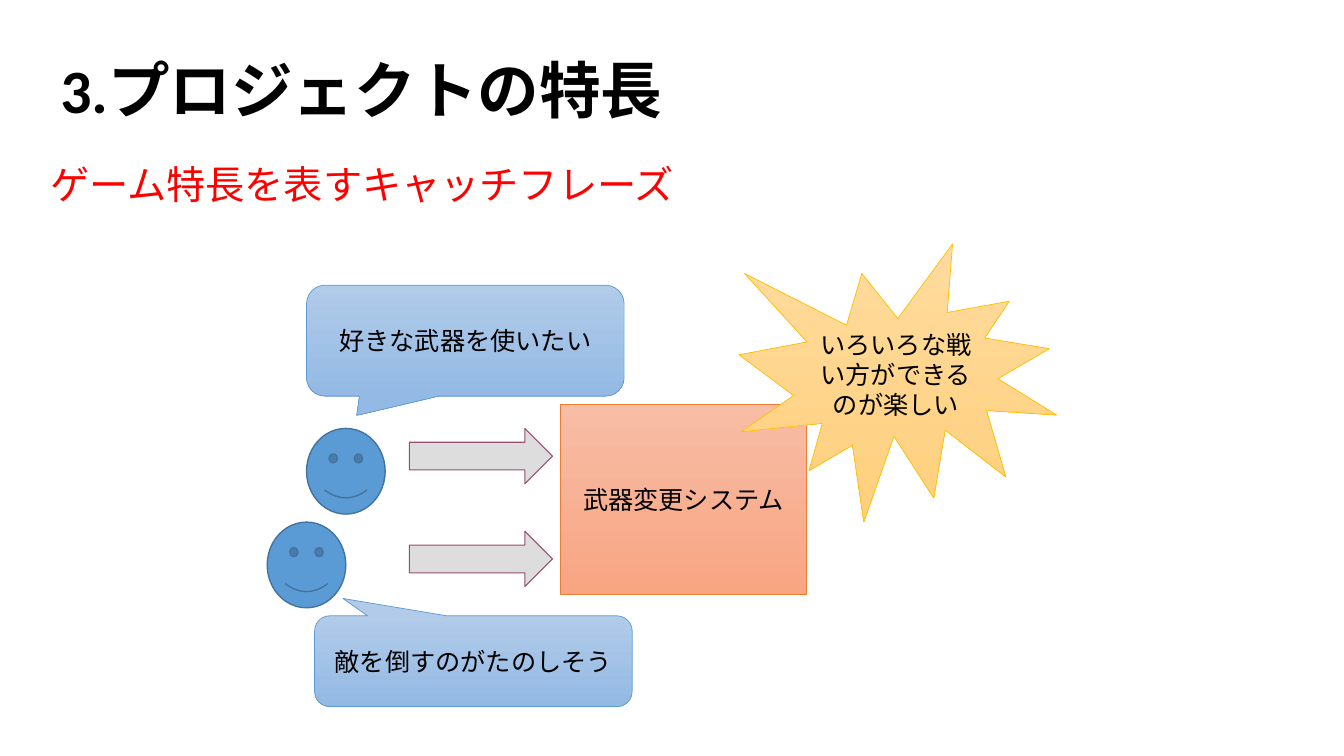
from pptx import Presentation
from pptx.dml.color import RGBColor
from pptx.enum.shapes import MSO_SHAPE
from pptx.enum.text import MSO_ANCHOR, PP_ALIGN
from pptx.util import Inches, Pt

ARROW = MSO_SHAPE.RIGHT_ARROW
CALLOUT = MSO_SHAPE.ROUNDED_RECTANGULAR_CALLOUT
PROCESS = MSO_SHAPE.FLOWCHART_PROCESS
BURST = MSO_SHAPE.EXPLOSION1
SMILEY = MSO_SHAPE.SMILEY_FACE
MIDDLE, TOP = MSO_ANCHOR.MIDDLE, MSO_ANCHOR.TOP
CENTER, LEFT = PP_ALIGN.CENTER, PP_ALIGN.LEFT

FONT = "Calibri"
BLUE = ("B1CBE9", "93B9E4")
ORANGE = ("F7BDA5", "F8A582")
GOLD = ("FFDB9E", "FFD07C")


def color(value):
    return RGBColor.from_string(value)


def write(shape, text, size, ink="000000", bold=False, anchor=MIDDLE, align=CENTER):
    frame = shape.text_frame
    frame.word_wrap = True
    frame.vertical_anchor = anchor
    para = frame.paragraphs[0]
    para.text = text
    para.alignment = align
    para.font.name = FONT
    para.font.size = Pt(size)
    para.font.bold = bold
    para.font.color.rgb = color(ink)
    return para


def add_heading(page, box, text, size, **style):
    shape = page.shapes.add_textbox(*map(Inches, box))
    para = write(shape, text, size, align=LEFT, **style)
    para.line_spacing = 0.9
    return para


def add_figure(page, kind, box, fill, line, width, adjustments=()):
    """Add a preset shape; a pair of colours as fill runs from top to bottom."""
    shape = page.shapes.add_shape(kind, *map(Inches, box))
    shape.shadow.inherit = False
    for index, value in enumerate(adjustments):
        shape.adjustments[index] = value
    if isinstance(fill, tuple):
        shape.fill.gradient()
        shape.fill.gradient_angle = 270
        for position, (stop, tint) in enumerate(zip(shape.fill.gradient_stops, fill)):
            stop.position = position
            stop.color.rgb = color(tint)
    else:
        shape.fill.solid()
        shape.fill.fore_color.rgb = color(fill)
    shape.line.color.rgb = color(line)
    shape.line.width = Pt(width)
    return shape


def add_header(page, left, top):
    add_heading(page, (left + 0.1, top, 9, 1.25), "3.プロジェクトの特長", 44, bold=True)
    phrase = add_heading(page, (left, top + 1.29, 12.5, 1),
                         "ゲーム特長を表すキャッチフレーズ", 28, ink="FF0000", anchor=TOP)
    phrase.space_before = Pt(10)


def add_diagram(page, left, top):
    """Players' wishes lead through the weapon system to the fun of the game."""
    for y in (1.83, 2.85):
        add_figure(page, ARROW, (left + 1.41, top + y, 1.42, 0.55), "DDDDDD", "954F72", 0.75)

    labelled = (
        (CALLOUT, (0.39, 0.41, 3.15, 1.1), BLUE, "5B9BD5",
         (-0.342, 0.675, 0.167), "好きな武器を使いたい"),
        (CALLOUT, (0.47, 3.69, 3.15, 0.9), BLUE, "5B9BD5",
         (-0.411, -0.692, 0.167), "敵を倒すのがたのしそう"),
        (PROCESS, (2.91, 1.59, 2.44, 1.89), ORANGE, "ED7D31", (), "武器変更システム"),
        (BURST, (4.68, 0, 3.15, 2.76), GOLD, "FFC000", (),
         "いろいろな戦い方ができるのが楽しい"),
    )
    for kind, (x, y, width, height), fill, line, adjustments, text in labelled:
        box = (left + x, top + y, width, height)
        write(add_figure(page, kind, box, fill, line, 0.5, adjustments), text, 18)

    for x, y in ((0.39, 1.83), (0, 2.76)):
        add_figure(page, SMILEY, (left + x, top + y, 0.78, 0.85), "5B9BD5", "43739E", 1)


def main():
    deck = Presentation()
    deck.slide_width, deck.slide_height = Inches(13.33), Inches(7.5)
    page = deck.slides.add_slide(deck.slide_layouts[6])
    add_header(page, 0.4, 0.3)
    add_diagram(page, 2.65, 2.42)
    deck.save("out.pptx")


if __name__ == "__main__":
    main()
